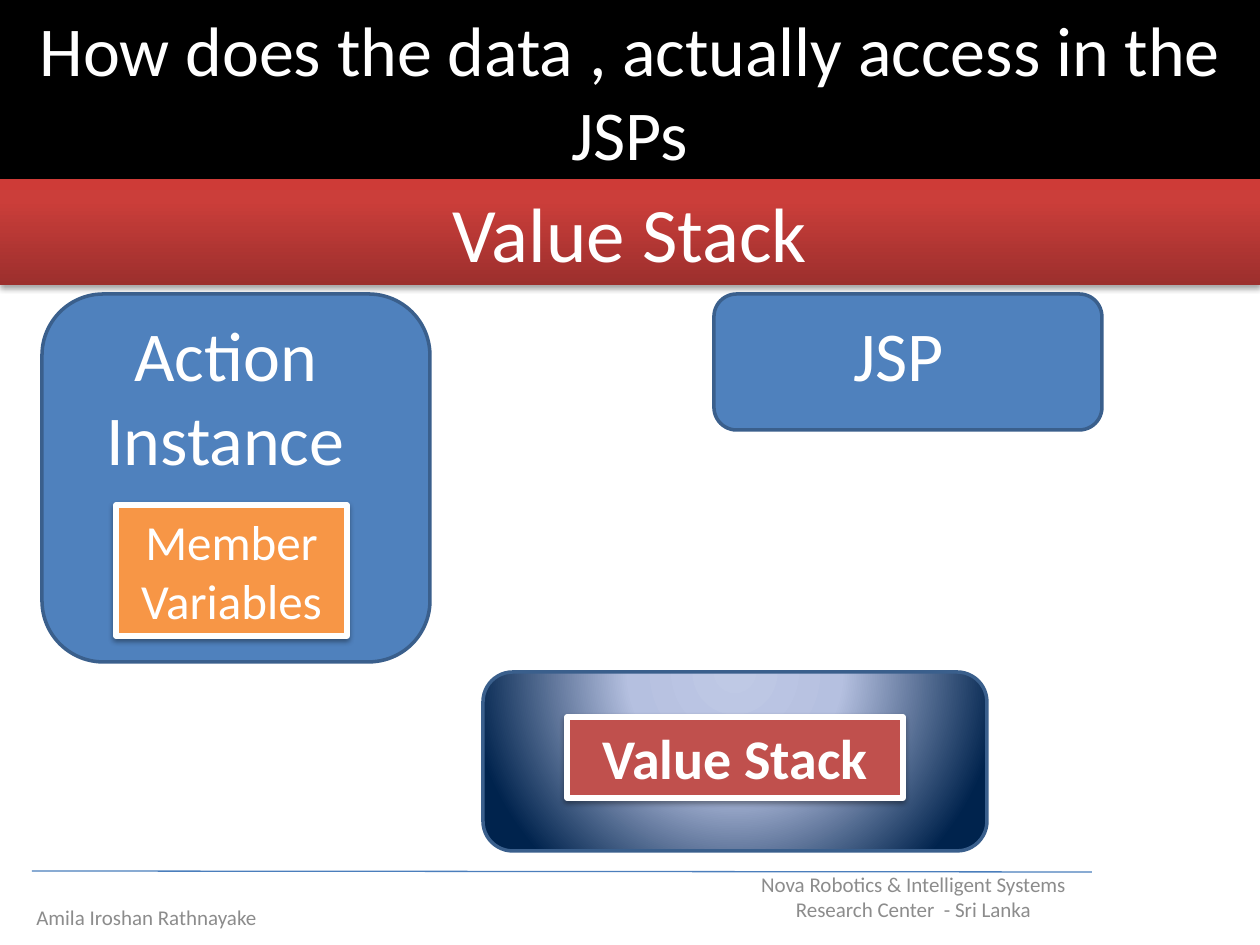
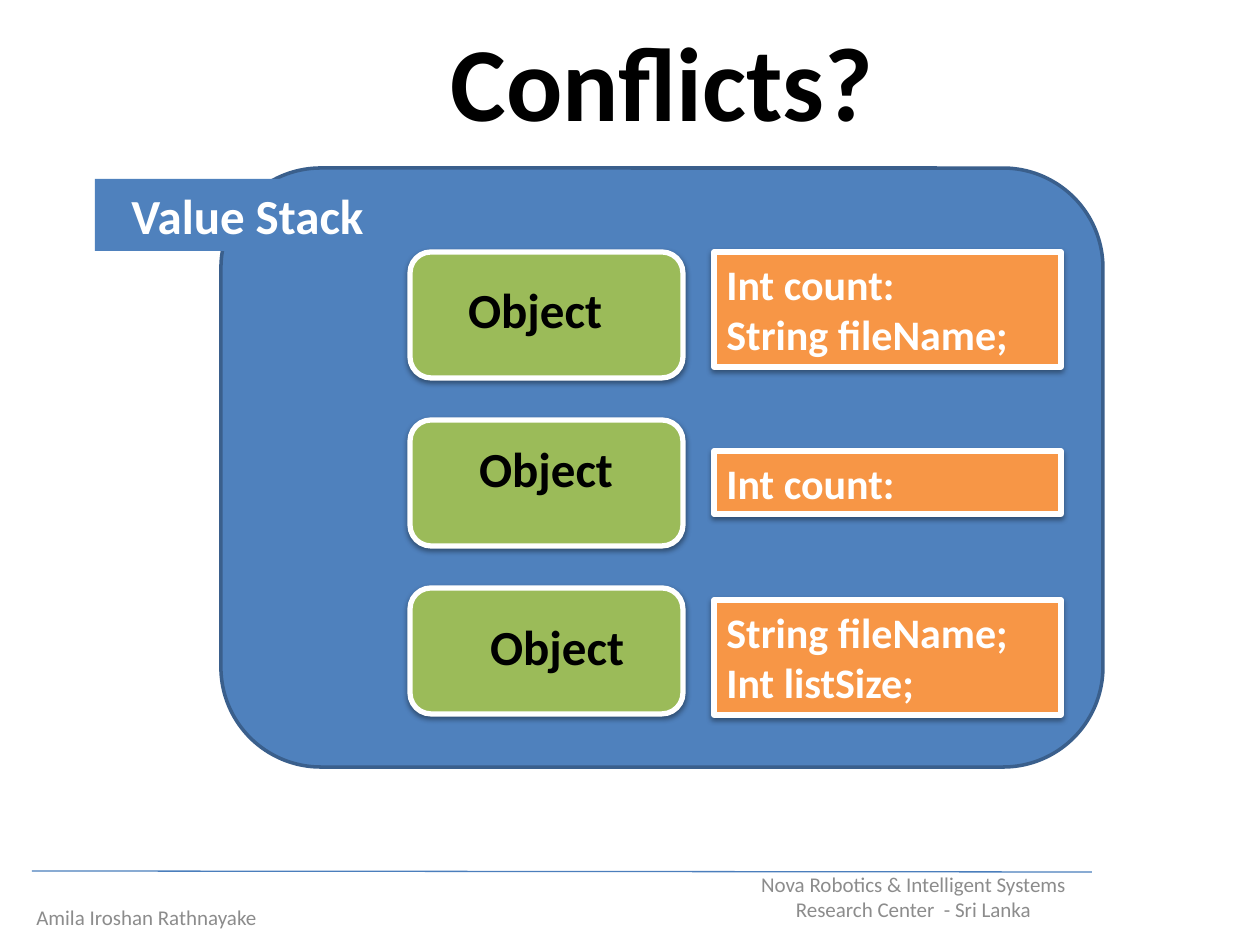
from pptx import Presentation
from pptx import util as u
from pptx.dml.color import RGBColor
from pptx.enum import shapes, text
from pptx.oxml import parse_xml
from pptx.oxml.ns import nsdecls, qn

# Content; every box is (left, top, width, height) in px
AUTHOR = ("Amila Iroshan Rathnayake", (-53, 892, 399, 50))
CENTER = ("Nova Robotics & Intelligent Systems Research Center  - Sri Lanka",
          (714, 872, 399, 50))
FOOTER_RULE = (32, 871, 1092, 872)

QUESTION = ("How does the data , actually access in the JSPs", (0, 0, 1260, 183))
BAND = ("Value Stack", (0, 179, 1260, 106))
# panel box, label, label box
PARTIES = [
    ((42, 294, 388, 368), "Action Instance", (73, 305, 305, 183)),
    ((714, 294, 388, 136), "JSP", (746, 305, 305, 97)),
]
MEMBERS = ("Member Variables", (116, 505, 231, 131))
STACK_PANEL = (483, 672, 504, 179)
STACK = ("Value Stack", (567, 717, 336, 81))

CONFLICTS = ("Conflicts?", (284, 10, 756, 140))
CONFLICT_PANEL = (221, 168, 882, 599)
TAB = ("Value Stack", (95, 179, 305, 72))
# label top, fields, fields top, fields height
OBJECTS = [
    (273, ["Int count:", "String fileName;"], 252, 115),
    (432, ["Int count:"], 451, 63),
    (610, ["String fileName;", "Int listSize;"], 600, 115),
]
OBJECT_TOP, OBJECT_STEP = 252, 168
LABEL_LEFT, LABEL_STEP = 451, 11

# Shared style
FONT = "Calibri"
BLACK, WHITE, GREY = "000000", "FFFFFF", "8C8C8C"
BLUE, BLUE_EDGE, RULE = "4F81BD", "3A5F8C", "4B7EBC"
ORANGE, RED, GREEN = "F79646", "C0504D", "9BBB59"
BAND_STOPS = [(0, "9C2F2D"), (80, "CB3E3A"), (100, "CE3B37")]
GLOW_STOPS = [(0, "BFC9E5"), (40, "B5C0E0"), (100, "00234D")]
BAND_DIRECTION = '<a:lin ang="16200000" scaled="0"/>'
GLOW_DIRECTION = ('<a:path path="circle"><a:fillToRect l="50000" t="-80000" '
                  'r="50000" b="180000"/></a:path>')
RECT = shapes.MSO_SHAPE.RECTANGLE
ROUND = shapes.MSO_SHAPE.ROUNDED_RECTANGLE
CENTERED, LEFT = text.PP_ALIGN.CENTER, text.PP_ALIGN.LEFT
PX = 914400 / 126


def px(*lengths):
    return [u.Emu(round(n * PX)) for n in lengths]


def rgb(value):
    return RGBColor.from_string(value)


def write(shape, lines, size, color, bold=False, align=CENTERED, grow=True):
    frame = shape.text_frame
    frame.word_wrap = True
    frame.auto_size = (text.MSO_AUTO_SIZE.SHAPE_TO_FIT_TEXT if grow
                       else text.MSO_AUTO_SIZE.NONE)
    frame.vertical_anchor = text.MSO_ANCHOR.TOP if grow else text.MSO_ANCHOR.MIDDLE
    for i, line in enumerate(lines):
        paragraph = frame.add_paragraph() if i else frame.paragraphs[0]
        paragraph.alignment = align
        run = paragraph.add_run()
        run.text = line
        run.font.name, run.font.size, run.font.bold = FONT, u.Pt(size), bold
        run.font.color.rgb = rgb(color)


def paint(shape, fill, edge=None, width=2):
    shape.fill.solid()
    shape.fill.fore_color.rgb = rgb(fill)
    if edge:
        shape.line.color.rgb = rgb(edge)
        shape.line.width = u.Pt(width)
    else:
        shape.line.fill.background()


def add_block(slide, box, fill, edge=None, width=2, preset=RECT):
    block = slide.shapes.add_shape(preset, *px(*box))
    block.shadow.inherit = False
    paint(block, fill, edge, width)
    return block


def blend(shape, stops, direction):
    """Replace the fill with a gradient; stops are (percent, colour)."""
    shape.fill.background()
    marks = "".join(f'<a:gs pos="{at * 1000}"><a:srgbClr val="{color}"/></a:gs>'
                    for at, color in stops)
    properties = shape.element.spPr
    properties.replace(properties.find(qn("a:noFill")), parse_xml(
        f'<a:gradFill {nsdecls("a")} rotWithShape="1"><a:gsLst>{marks}</a:gsLst>'
        f'{direction}</a:gradFill>'))


def drop_shadow(shape, alpha=38, distance=1.6):
    shape.element.spPr.find(qn("a:effectLst")).append(parse_xml(
        f'<a:outerShdw {nsdecls("a")} blurRad="{u.Pt(3.1)}" dist="{u.Pt(distance)}" '
        f'dir="5400000" rotWithShape="0"><a:srgbClr val="{BLACK}">'
        f'<a:alpha val="{alpha * 1000}"/></a:srgbClr></a:outerShdw>'))


def add_card(slide, box, fill, preset=RECT):
    """Add a white-edged block that casts a shadow."""
    card = add_block(slide, box, fill, WHITE, 3, preset)
    drop_shadow(card)
    return card


def add_panel(slide, box):
    return add_block(slide, box, BLUE, BLUE_EDGE, preset=ROUND)


def add_label(slide, label, box, size, color, **style):
    write(slide.shapes.add_textbox(*px(*box)), [label], size, color, **style)


def add_slide(deck, title, size, color, bold=False):
    """Add a slide with its title and the shared footer."""
    slide = deck.slides.add_slide(deck.slide_layouts[5])
    heading, box = title
    holder = slide.shapes.title
    holder.left, holder.top, holder.width, holder.height = px(*box)
    write(holder, [heading], size, color, bold)
    for label, place in (CENTER, AUTHOR):
        add_label(slide, label, place, 12, GREY, grow=False)
    rule = slide.shapes.add_connector(shapes.MSO_CONNECTOR.STRAIGHT, *px(*FOOTER_RULE))
    rule.line.color.rgb = rgb(RULE)
    rule.line.width = u.Pt(0.75)
    rule.element.spPr.append(parse_xml(f'<a:effectLst {nsdecls("a")}/>'))
    return slide


def build_access_slide(deck):
    slide = add_slide(deck, QUESTION, 40, WHITE)
    paint(slide.shapes.title, BLACK, BLACK)

    heading, box = BAND
    band = add_block(slide, box, RED)
    blend(band, BAND_STOPS, BAND_DIRECTION)
    drop_shadow(band, 35, 1.8)
    write(band, [heading], 44, WHITE)

    for panel_box, label, label_box in PARTIES:
        add_panel(slide, panel_box)
        add_label(slide, label, label_box, 40, WHITE)
    label, box = MEMBERS
    write(add_card(slide, box, ORANGE), [label], 28, WHITE)

    blend(add_panel(slide, STACK_PANEL), GLOW_STOPS, GLOW_DIRECTION)
    label, box = STACK
    write(add_card(slide, box, RED), [label], 32, WHITE, bold=True)


def build_conflicts_slide(deck):
    slide = add_slide(deck, CONFLICTS, 60, BLACK, bold=True)
    add_panel(slide, CONFLICT_PANEL)
    label, box = TAB
    write(add_block(slide, box, BLUE), [label], 28, WHITE, bold=True)

    for i, (label_top, fields, fields_top, fields_height) in enumerate(OBJECTS):
        add_card(slide, (410, OBJECT_TOP + i * OBJECT_STEP, 273, 126), GREEN, ROUND)
        add_label(slide, "Object", (LABEL_LEFT + i * LABEL_STEP, label_top, 168, 72),
                  28, BLACK, bold=True)
        card = add_card(slide, (714, fields_top, 347, fields_height), ORANGE)
        write(card, fields, 24, WHITE, bold=True, align=LEFT)


def main():
    deck = Presentation()
    deck.slide_width, deck.slide_height = px(1260, 945)
    build_access_slide(deck)
    build_conflicts_slide(deck)
    deck.save("out.pptx")


if __name__ == "__main__":
    main()
